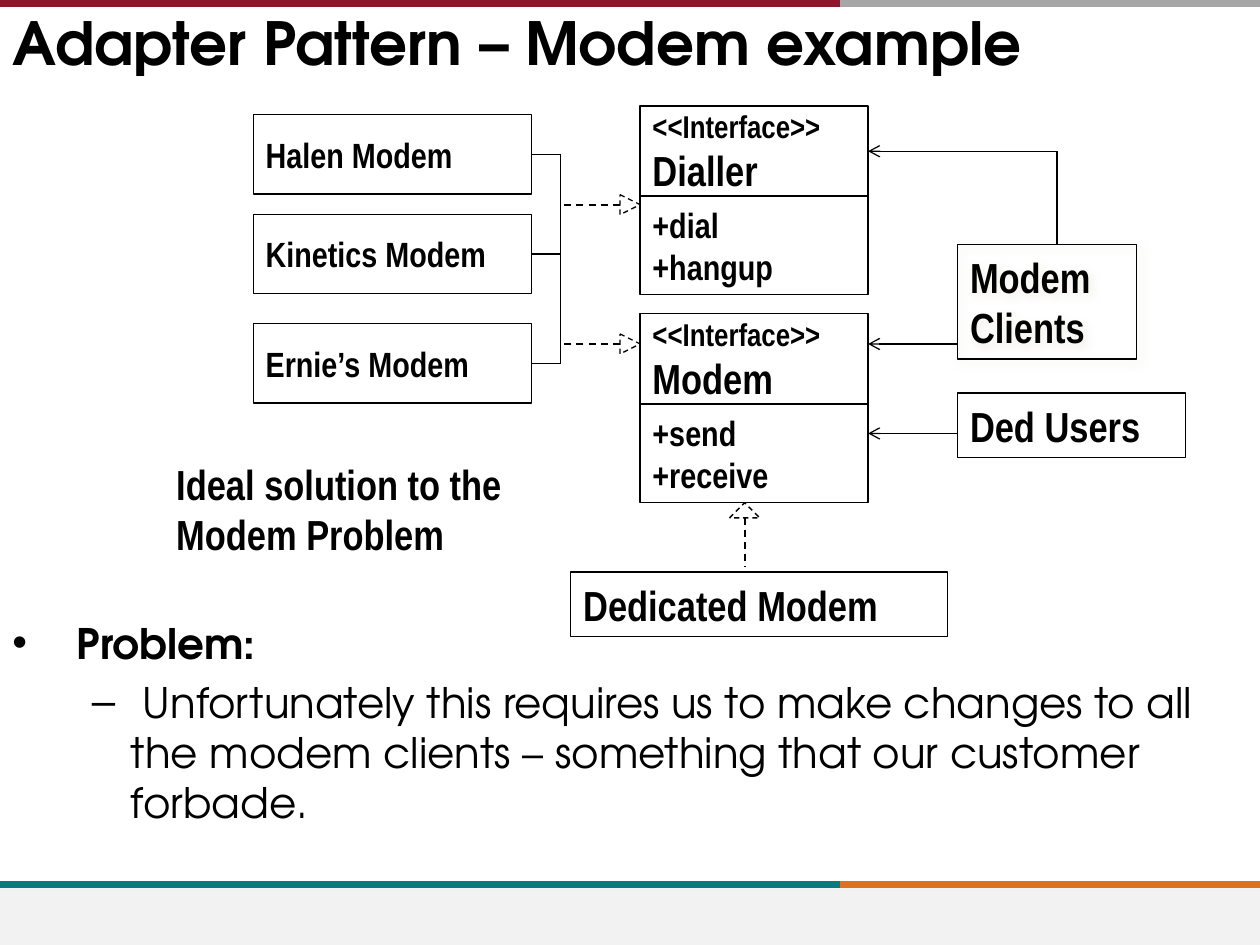
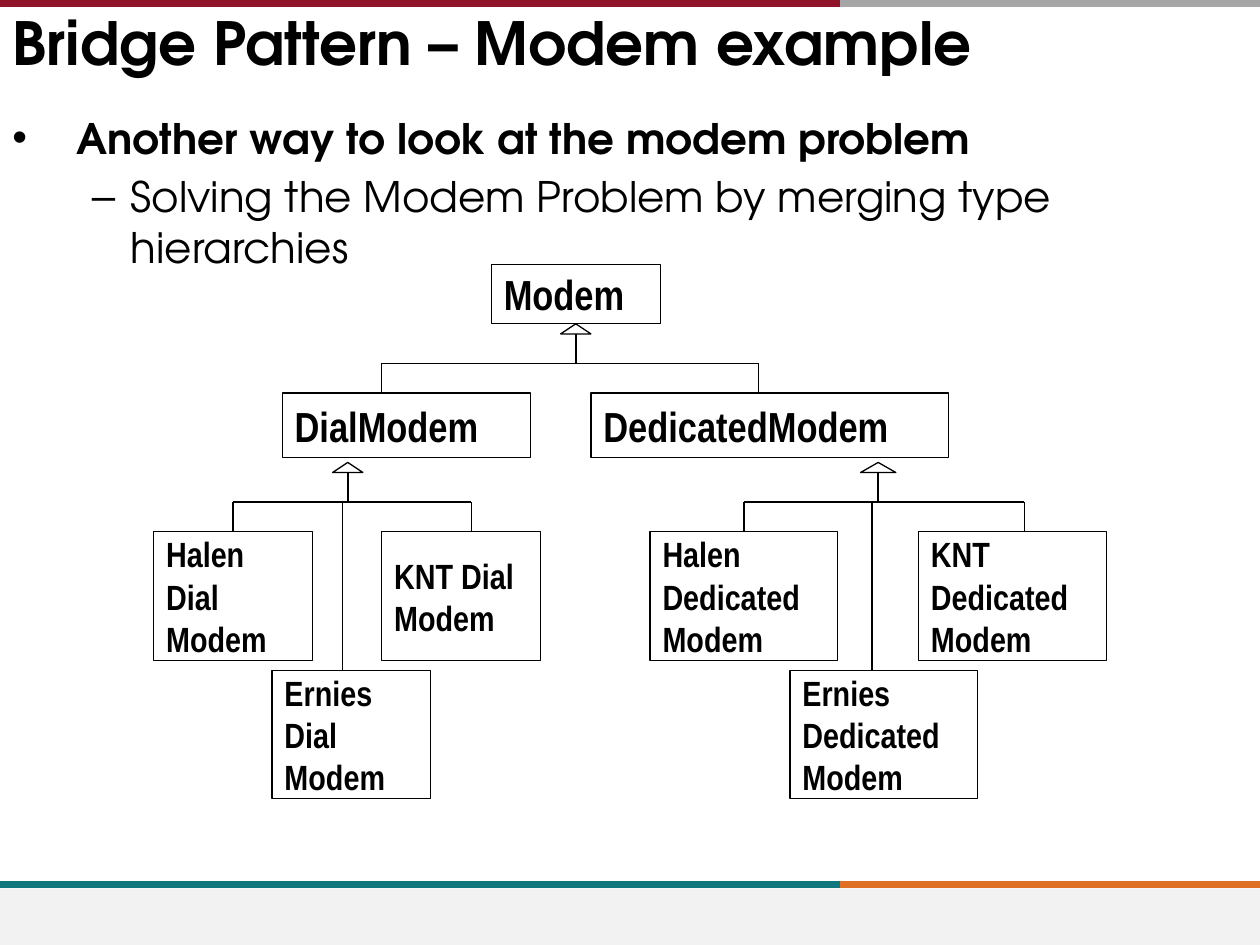
from dataclasses import dataclass
from typing import NamedTuple, Optional

from lxml import etree
from pptx import Presentation
from pptx.dml.color import RGBColor
from pptx.enum.dml import MSO_LINE
from pptx.enum.shapes import MSO_CONNECTOR, MSO_SHAPE
from pptx.enum.text import MSO_ANCHOR, PP_ALIGN
from pptx.oxml.ns import qn
from pptx.shapes.autoshape import Shape
from pptx.shapes.connector import Connector
from pptx.slide import Slide
from pptx.util import Emu, Inches, Pt

WIDTH, HEIGHT = Inches(10), Inches(7.5)
COLUMNS, ROWS = 100, 75

BLACK = RGBColor(0x00, 0x00, 0x00)
CRIMSON = RGBColor(0x90, 0x15, 0x2A)
GREY = RGBColor(0xA6, 0xA6, 0xA6)
TEAL = RGBColor(0x0F, 0x78, 0x7D)
ORANGE = RGBColor(0xDF, 0x70, 0x23)
PALE = RGBColor(0xF2, 0xF2, 0xF2)
SHADOW = RGBColor(0xEE, 0xEC, 0xE1)

HEADING_FONT = "TeX Gyre Adventor"
DIAGRAM_FONT = "Arial Narrow"
TOP, LEFT, BOTTOM, RIGHT = range(4)


class Point(NamedTuple):
    column: float
    row: float


class Area(NamedTuple):
    column: float
    row: float
    columns: float
    rows: float


class Joint(NamedTuple):
    shape: Shape
    side: int


@dataclass(frozen=True)
class Box:
    text: str
    area: Area
    size: float = 20
    first_size: Optional[float] = None


@dataclass(frozen=True)
class Bullet:
    text: str
    level: int = 0


@dataclass(frozen=True)
class BulletStyle:
    mark: str
    margin: float
    hanging: float
    bold: bool


@dataclass(frozen=True)
class Tree:
    tip: Point
    arrow_columns: float
    first_drop: float
    last_drop: float


BULLET_STYLES = (
    BulletStyle("•", 5.1, 5.1, True),
    BulletStyle("–", 9.4, 3.1, False),
)


def across(columns: float) -> Emu:
    return Emu(round(WIDTH * columns / COLUMNS))


def down(rows: float) -> Emu:
    return Emu(round(HEIGHT * rows / ROWS))


def place(area: Area) -> tuple:
    return across(area.column), down(area.row), across(area.columns), down(area.rows)


def write(shape: Shape, text: str, font_name: str, size: float, bold: bool = True,
          anchor: MSO_ANCHOR = MSO_ANCHOR.TOP) -> None:
    frame = shape.text_frame
    frame.text = text
    frame.word_wrap = True
    frame.vertical_anchor = anchor
    for paragraph in frame.paragraphs:
        paragraph.alignment = PP_ALIGN.LEFT
        for run in paragraph.runs:
            run.font.name = font_name
            run.font.size = Pt(size)
            run.font.bold = bold
            run.font.color.rgb = BLACK


def draw_shape(slide: Slide, kind: MSO_SHAPE, area: Area, dashed: bool = False) -> Shape:
    shape = slide.shapes.add_shape(kind, *place(area))
    shape.shadow.inherit = False
    shape.fill.background()
    shape.line.color.rgb = BLACK
    shape.line.width = Pt(0.75)
    if dashed:
        shape.line.dash_style = MSO_LINE.DASH
    return shape


def draw_box(slide: Slide, box: Box) -> Shape:
    shape = draw_shape(slide, MSO_SHAPE.RECTANGLE, box.area)
    write(shape, box.text, DIAGRAM_FONT, box.size, anchor=MSO_ANCHOR.MIDDLE)
    if box.first_size:
        shape.text_frame.paragraphs[0].runs[0].font.size = Pt(box.first_size)
    return shape


def draw_line(slide: Slide, start: Point, end: Point, color: RGBColor = BLACK,
              width: float = 0.75, dashed: bool = False, arrow: bool = False,
              start_joint: Optional[Joint] = None,
              end_joint: Optional[Joint] = None) -> Connector:
    line = slide.shapes.add_connector(
        MSO_CONNECTOR.STRAIGHT, across(start.column), down(start.row),
        across(end.column), down(end.row))
    if start_joint:
        line.begin_connect(*start_joint)
    if end_joint:
        line.end_connect(*end_joint)
    line.line.color.rgb = color
    line.line.width = Pt(width)
    if dashed:
        line.line.dash_style = MSO_LINE.DASH
    if arrow:
        etree.SubElement(line.line._get_or_add_ln(), qn("a:tailEnd"), type="arrow")
    etree.SubElement(line._element.spPr, qn("a:effectLst"))
    return line


def add_soft_shadow(shape: Shape) -> None:
    effects = shape._element.spPr.find(qn("a:effectLst"))
    shadow = etree.SubElement(effects, qn("a:outerShdw"), blurRad=str(Pt(5)),
                              dist=str(Pt(3)), dir=str(45 * 60000))
    color = etree.SubElement(shadow, qn("a:srgbClr"), val=str(SHADOW))
    etree.SubElement(color, qn("a:alpha"), val="75000")


def add_base_slide(presentation: Presentation, title: str) -> Slide:
    slide = presentation.slides.add_slide(presentation.slide_layouts[6])
    band = draw_shape(slide, MSO_SHAPE.RECTANGLE, Area(0, 70.5, COLUMNS, 4.5))
    band.fill.solid()
    band.fill.fore_color.rgb = PALE
    band.line.fill.background()
    split = COLUMNS * 2 / 3
    for row, left_color, right_color in ((0.3, CRIMSON, GREY), (70.2, TEAL, ORANGE)):
        draw_line(slide, Point(0, row), Point(split, row), left_color, 4)
        draw_line(slide, Point(split, row), Point(COLUMNS, row), right_color, 4)
    title_box = slide.shapes.add_textbox(*place(Area(0, 0, 99.3, 7.8)))
    write(title_box, title, HEADING_FONT, 34)
    return slide


def add_bullets(slide: Slide, area: Area, bullets: tuple[Bullet, ...]) -> None:
    body = slide.shapes.add_textbox(*place(area))
    write(body, "\n".join(bullet.text for bullet in bullets), HEADING_FONT, 24)
    for index, (paragraph, bullet) in enumerate(zip(body.text_frame.paragraphs, bullets)):
        style = BULLET_STYLES[bullet.level]
        paragraph.level = bullet.level
        properties = paragraph._p.get_or_add_pPr()
        properties.set("marL", str(across(style.margin)))
        properties.set("indent", str(-across(style.hanging)))
        etree.SubElement(properties, qn("a:buFont"), typeface="Arial")
        etree.SubElement(properties, qn("a:buChar"), char=style.mark)
        if index:
            paragraph.space_before = Pt(4.8)
        for run in paragraph.runs:
            run.font.bold = style.bold


def draw_interface(slide: Slide, row: float, name: str, methods: str) -> Shape:
    header = draw_box(slide, Box(f"<<Interface>>\n{name}", Area(50.8, row, 18.1, 7.2), 24, 18))
    draw_box(slide, Box(methods, Area(50.8, row + 7.1, 18.1, 7.9)))
    return header


def draw_tree(slide: Slide, tree: Tree, child_top: Optional[Joint] = None) -> float:
    column, row = tree.tip
    rail = row + 3.15
    draw_shape(slide, MSO_SHAPE.ISOSCELES_TRIANGLE,
               Area(column - tree.arrow_columns / 2, row, tree.arrow_columns, 0.8))
    draw_line(slide, Point(column, row + 0.8), Point(column, rail), width=1)
    draw_line(slide, Point(tree.first_drop, rail), Point(tree.last_drop, rail))
    for drop, joint in ((tree.first_drop, child_top), (tree.last_drop, None)):
        draw_line(slide, Point(drop, rail), Point(drop, rail + 2.35), end_joint=joint)
    return rail


def build_adapter_slide(presentation: Presentation) -> None:
    slide = add_base_slide(presentation, "Adapter Pattern – Modem example")
    add_bullets(slide, Area(0, 48.5, COLUMNS, 21.2), (
        Bullet("Problem:"),
        Bullet(" Unfortunately this requires us to make changes to all the modem "
               "clients – something that our customer forbade.", 1),
    ))
    caption = slide.shapes.add_textbox(*place(Area(13, 35.9, 31.5, 9.1)))
    write(caption, "Ideal solution to the Modem Problem", DIAGRAM_FONT, 24)

    dialler = draw_interface(slide, 8.4, "Dialler", "+dial\n+hangup")
    draw_interface(slide, 24.9, "Modem", "+send\n+receive")

    rail = 44.5
    modem_rows = (("Halen Modem", 9.1), ("Kinetics Modem", 17), ("Ernie’s Modem", 25.7))
    for name, row in modem_rows:
        modem = draw_box(slide, Box(name, Area(20.1, row, 22.1, 6.3)))
        middle = row + 3.15
        draw_line(slide, Point(42.2, middle), Point(rail, middle),
                  start_joint=Joint(modem, RIGHT))
    draw_line(slide, Point(rail, modem_rows[0][1] + 3.15), Point(rail, modem_rows[-1][1] + 3.15))

    for row in (16.25, 27.3):
        head = draw_shape(slide, MSO_SHAPE.ISOSCELES_TRIANGLE,
                          Area(49.2, row - 0.8, 1.6, 1.6), dashed=True)
        head.rotation = 90
        draw_line(slide, Point(49.2, row), Point(rail, row), width=1, dashed=True)

    clients = draw_box(slide, Box("Modem Clients", Area(76, 19.4, 14.2, 9.1), 24))
    add_soft_shadow(clients)
    draw_box(slide, Box("Ded Users", Area(76, 31.2, 18.1, 5.1), 24))
    corner = Point(83.9, 12)
    draw_line(slide, Point(83.9, 19.4), corner)
    draw_line(slide, corner, Point(68.9, 12), arrow=True, end_joint=Joint(dialler, RIGHT))
    for row in (27.3, 34.4):
        draw_line(slide, Point(76, row), Point(68.9, row), arrow=True)

    draw_box(slide, Box("Dedicated Modem", Area(45.3, 45.4, 29.9, 5.1), 24))
    draw_shape(slide, MSO_SHAPE.ISOSCELES_TRIANGLE, Area(57.9, 39.9, 2.4, 1.2), dashed=True)
    draw_line(slide, Point(59.1, 41.1), Point(59.1, 45), width=1, dashed=True)


def build_bridge_slide(presentation: Presentation) -> None:
    slide = add_base_slide(presentation, "Bridge Pattern – Modem example")
    add_bullets(slide, Area(0, 8.4, COLUMNS, 15), (
        Bullet("Another way to look at the modem problem"),
        Bullet("Solving the Modem Problem by merging type hierarchies", 1),
    ))
    for box in (
        Box("Modem", Area(39, 21, 13.4, 4.7), 24),
        Box("DialModem", Area(22.4, 31.2, 19.7, 5.1), 24),
        Box("DedicatedModem", Area(46.9, 31.2, 28.4, 5.1), 24),
    ):
        draw_box(slide, box)
    draw_tree(slide, Tree(Point(45.7, 25.7), 2.4, 30.3, 60.2))

    for kind, columns, lefts, ernie_drop, tree in (
        ("Dial", 12.6, (12.2, 30.3, 21.6), 27.2,
         Tree(Point(27.6, 36.7), 2.4, 18.5, 37.4)),
        ("Dedicated", 14.9, (51.6, 72.9, 62.7), 69.2,
         Tree(Point(69.7, 36.7), 2.8, 59.05, 81.3)),
    ):
        children = [
            draw_box(slide, Box(f"{maker} {kind} Modem", Area(left, row, columns, 10.2)))
            for maker, left, row in zip(("Halen", "KNT", "Ernies"), lefts, (42.2, 42.2, 53.2))
        ]
        rail = draw_tree(slide, tree, Joint(children[0], TOP))
        draw_line(slide, Point(ernie_drop, rail), Point(ernie_drop, 53.2))


def main() -> None:
    presentation = Presentation()
    presentation.slide_width = WIDTH
    presentation.slide_height = HEIGHT
    build_adapter_slide(presentation)
    build_bridge_slide(presentation)
    presentation.save("out.pptx")


if __name__ == "__main__":
    main()
